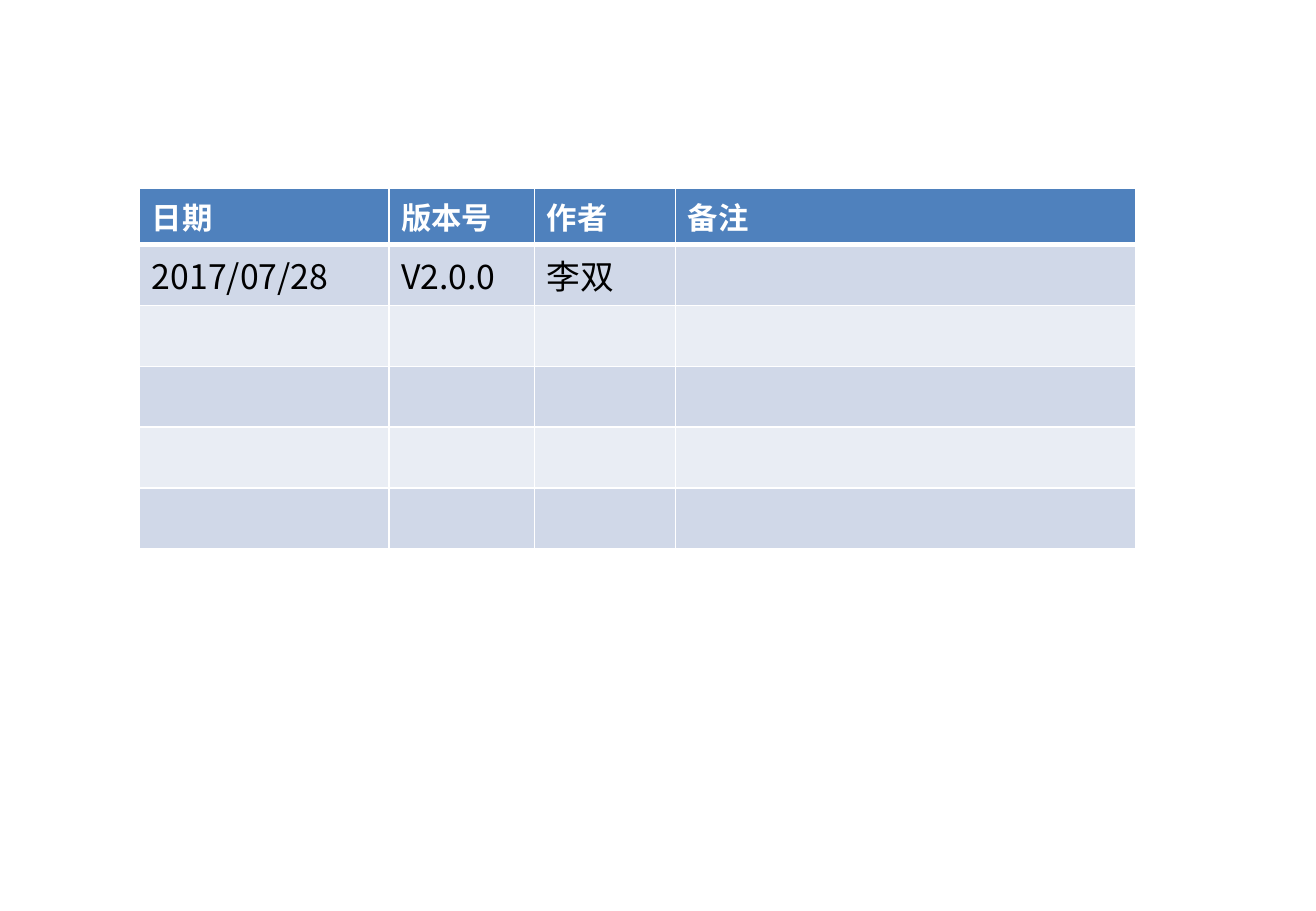
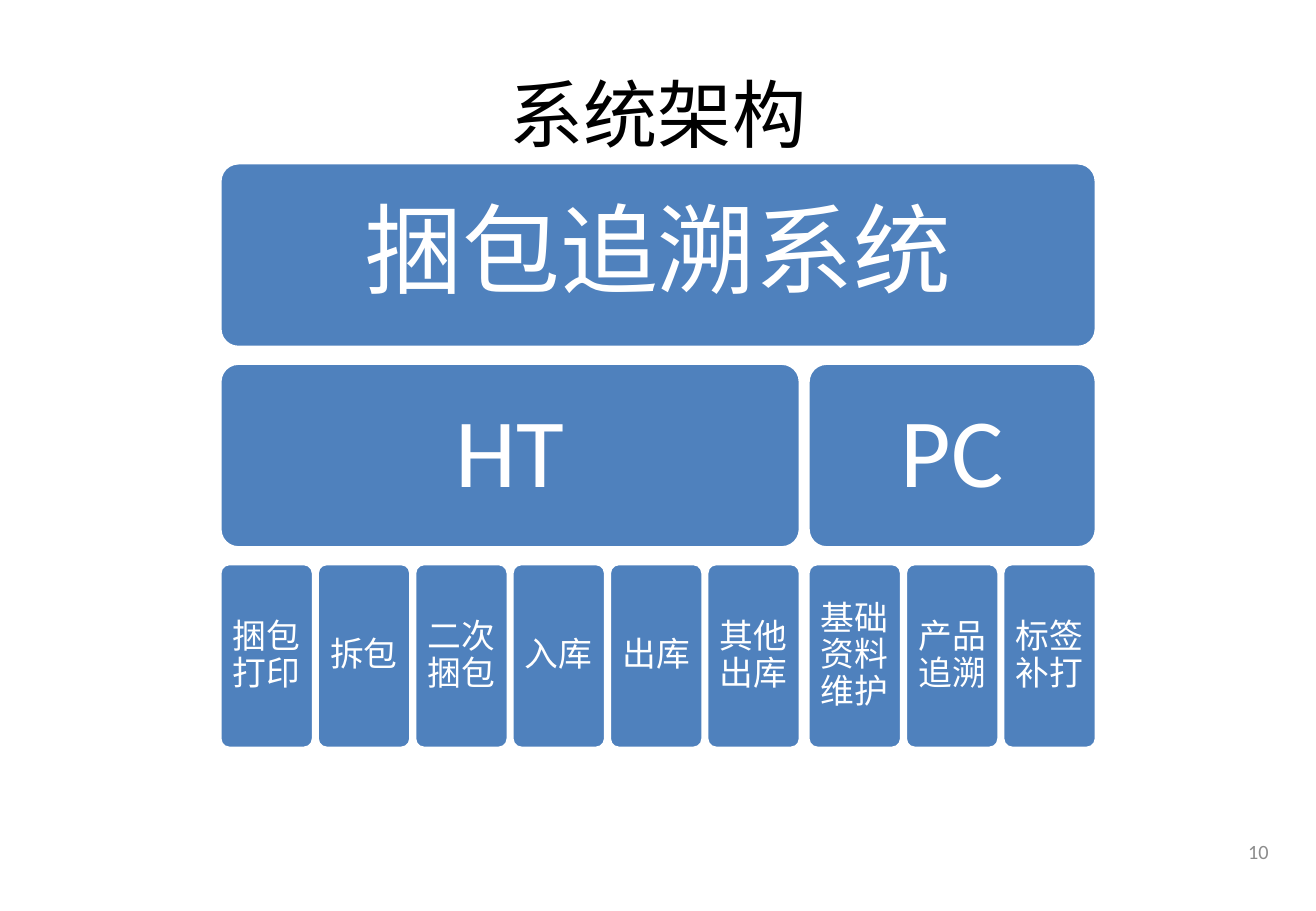
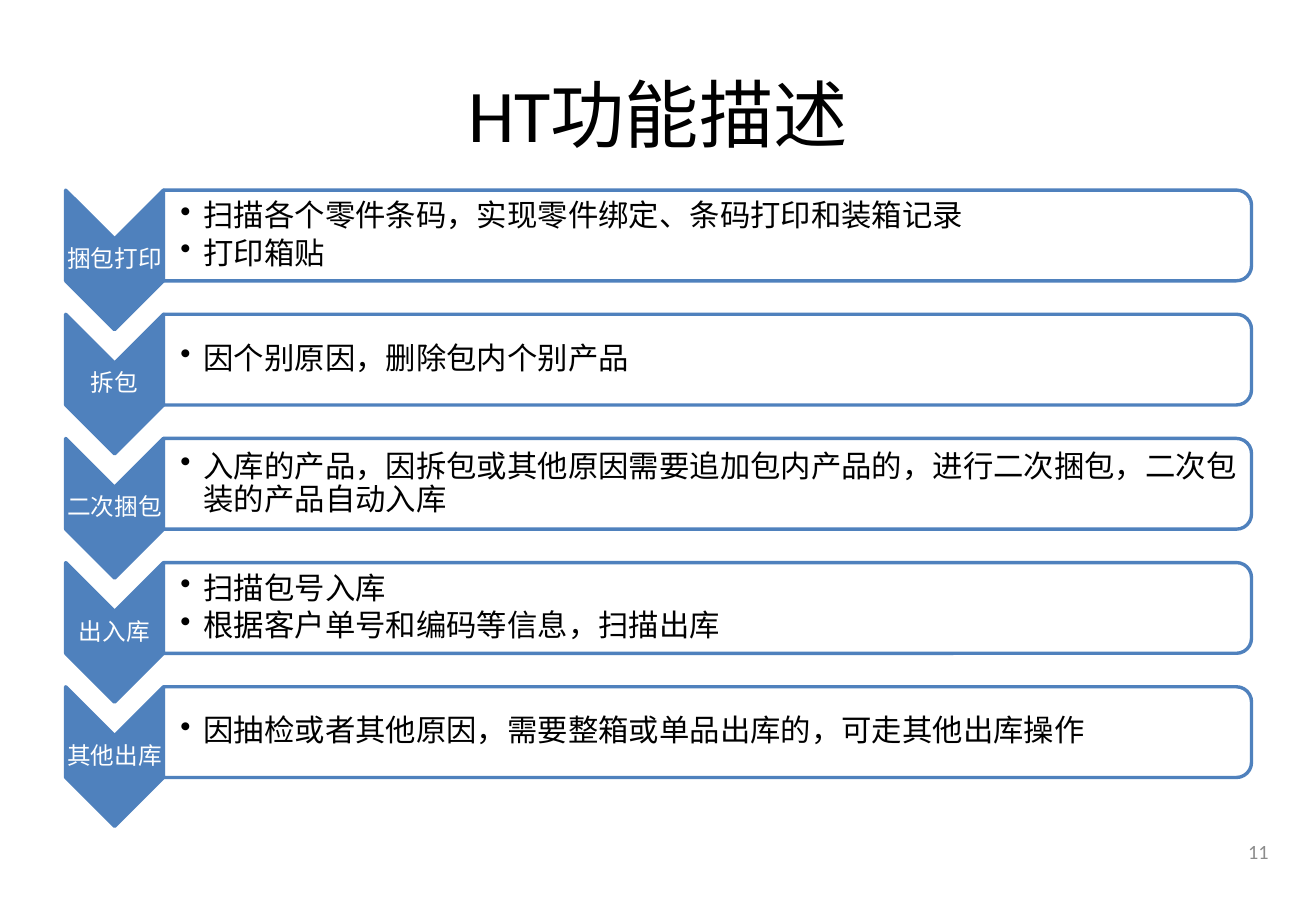
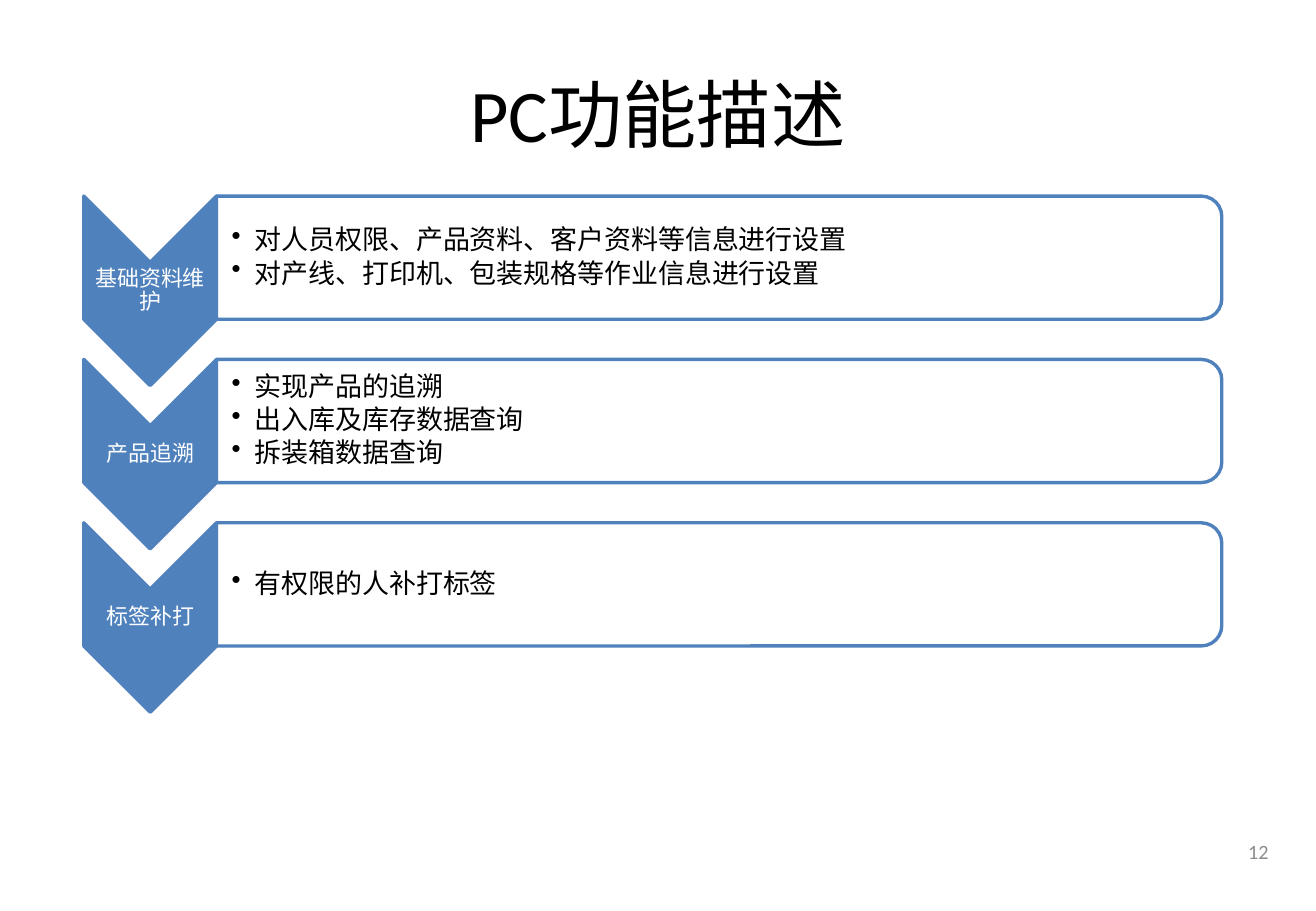
"""Build the four slides on the tracing system."""
from dataclasses import dataclass

from lxml.etree import SubElement
from pptx import Presentation
from pptx.dml.color import RGBColor
from pptx.enum.lang import MSO_LANGUAGE_ID
from pptx.enum.shapes import MSO_SHAPE
from pptx.enum.text import MSO_ANCHOR, PP_ALIGN
from pptx.oxml.ns import qn
from pptx.util import Inches, Pt


@dataclass(frozen=True)
class Theme:
    """Colours, fonts and type sizes in points."""
    accent: str = "4F81BD"
    band_dark: str = "D0D8E8"
    band_light: str = "E9EDF4"
    white: str = "FFFFFF"
    ink: str = "000000"
    muted: str = "8C8C8C"
    latin: str = "Calibri"
    asian: str = "Noto Sans CJK SC"
    title: int = 44
    block: int = 58
    leaf: int = 20
    table_head: int = 18
    table_body: int = 20
    footer: int = 12
    outline: int = 2


THEME = Theme()
WIDTH, HEIGHT = Inches(10.83), Inches(7.5)

HISTORY_HEAD = ["日期", "版本号", "作者", "备注"]
HISTORY = [["2017/07/28", "V2.0.0", "李双", ""]] + [[""] * 4] * 4
MODULES = [
    ("HT", ["捆包打印", "拆包", "二次捆包", "入库", "出库", "其他出库"]),
    ("PC", ["基础资料维护", "产品追溯", "标签补打"]),
]
HT_STEPS = [
    ("捆包打印", ["扫描各个零件条码，实现零件绑定、条码打印和装箱记录", "打印箱贴"]),
    ("拆包", ["因个别原因，删除包内个别产品"]),
    ("二次捆包", ["入库的产品，因拆包或其他原因需要追加包内产品的，进行二次捆包，二次包装的产品自动入库"]),
    ("出入库", ["扫描包号入库", "根据客户单号和编码等信息，扫描出库"]),
    ("其他出库", ["因抽检或者其他原因，需要整箱或单品出库的，可走其他出库操作"]),
]
PC_STEPS = [
    ("基础资料维护", ["对人员权限、产品资料、客户资料等信息进行设置", "对产线、打印机、包装规格等作业信息进行设置"]),
    ("产品追溯", ["实现产品的追溯", "出入库及库存数据查询", "拆装箱数据查询"]),
    ("标签补打", ["有权限的人补打标签"]),
]


def across(percent):
    """Return a percentage of the slide width."""
    return round(WIDTH * percent / 100)


def down(percent):
    """Return a percentage of the slide height."""
    return round(HEIGHT * percent / 100)


def add_run(paragraph, text, size, color, bold=False, latin=THEME.latin):
    """Add one styled run to a paragraph."""
    run = paragraph.add_run()
    run.text = text
    font = run.font
    font.size, font.bold, font.name = Pt(size), bold, latin
    font.color.rgb = RGBColor.from_string(color)
    font.language_id = MSO_LANGUAGE_ID.SIMPLIFIED_CHINESE
    SubElement(font._element, qn("a:ea"), typeface=THEME.asian)


def add_bullet(paragraph):
    """Give a paragraph a hanging round bullet."""
    properties = paragraph._p.get_or_add_pPr()
    indent = Inches(0.19)
    properties.set("marL", str(indent))
    properties.set("indent", str(-indent))
    SubElement(properties, qn("a:buChar"), char="•")


def write(frame, lines, size, color, align=PP_ALIGN.CENTER, anchor=MSO_ANCHOR.MIDDLE,
          insets=None, spacing=None, after=0, bulleted=False):
    """Fill a text frame, one paragraph for each line."""
    frame.word_wrap = True
    frame.vertical_anchor = anchor
    if insets:
        (frame.margin_left, frame.margin_top,
         frame.margin_right, frame.margin_bottom) = insets
    for index, line in enumerate(lines):
        paragraph = frame.add_paragraph() if index else frame.paragraphs[0]
        paragraph.alignment = align
        if spacing:
            paragraph.line_spacing = spacing
            paragraph.space_after = Pt(size * after)
        if bulleted:
            add_bullet(paragraph)
        add_run(paragraph, line, size, color)


def add_text(slide, box, lines, size, color, **style):
    """Add a text box."""
    write(slide.shapes.add_textbox(*box).text_frame, lines, size, color, **style)


def add_figure(slide, kind, box, fill, line):
    """Add a flat outlined preset shape."""
    figure = slide.shapes.add_shape(kind, *box)
    figure.shadow.inherit = False
    figure.fill.solid()
    figure.fill.fore_color.rgb = RGBColor.from_string(fill)
    figure.line.color.rgb = RGBColor.from_string(line)
    figure.line.width = Pt(THEME.outline)
    return figure


def add_turned(slide, kind, box, fill):
    """Add a shape turned clockwise by a quarter so that it covers the box."""
    left, top, width, height = box
    shift = (width - height) // 2
    figure = add_figure(slide, kind, (left + shift, top - shift, height, width),
                        fill, THEME.accent)
    figure.rotation = 90
    return figure


def add_heading(slide, title, number):
    """Add the title and the page number."""
    add_text(slide, (across(5), down(4), across(90), down(16.67)),
             [title], THEME.title, THEME.ink)
    add_text(slide, (across(73), down(90.67), across(23.4), down(4.13)),
             [number], THEME.footer, THEME.muted, align=PP_ALIGN.RIGHT,
             anchor=MSO_ANCHOR.BOTTOM, insets=(0, 0, 0, 0))


def add_block(slide, box, label, size):
    """Add a rounded block with a centred label."""
    block = add_figure(slide, MSO_SHAPE.ROUNDED_RECTANGLE, box, THEME.accent, THEME.white)
    block.adjustments[0] = 0.1
    write(block.text_frame, [label], size, THEME.white,
          insets=[Pt(size * 0.3)] * 4, spacing=0.9, after=0.35)


def add_architecture(slide, system, modules):
    """Add a system block above its modules and their functions."""
    left, leaf, gap = across(16.71), across(7.11), across(0.29)
    height = down(20.27)
    system_top, module_top, leaf_top = (down(17.87 + 22 * level) for level in range(3))
    module_left = left
    for module, functions in modules:
        count = len(functions)
        module_width = count * leaf + (count - 1) * gap
        add_block(slide, (module_left, module_top, module_width, height),
                  module, THEME.block)
        for column, function in enumerate(functions):
            add_block(slide, (module_left + column * (leaf + gap), leaf_top, leaf, height),
                      function, THEME.leaf)
        module_left += module_width + 2 * gap
    add_block(slide, (left, system_top, module_left - 2 * gap - left, height),
              system, THEME.block)


def add_step(slide, left, top, right, height, label, details, label_size, detail_size):
    """Add a downward chevron and the panel of details beside it."""
    chevron_width = round(height * 0.7)
    panel_left, panel_height = left + chevron_width, round(height * 0.65)
    panel_width, pad = right - panel_left, round(panel_height * 0.05)
    thin = Inches(0.01)
    add_turned(slide, MSO_SHAPE.CHEVRON, (left, top, chevron_width, height), THEME.accent)
    add_text(slide, (left, top + chevron_width // 2, chevron_width, height - chevron_width),
             [label], label_size, THEME.white, insets=[thin] * 4, spacing=0.9, after=0.35)
    panel = add_turned(slide, MSO_SHAPE.ROUND_2_SAME_RECTANGLE,
                       (panel_left, top, panel_width, panel_height), THEME.white)
    panel_color = panel._element.spPr.find(qn("a:solidFill"))[0]
    SubElement(panel_color, qn("a:alpha"), val="90000")
    add_text(slide, (panel_left, top + pad, panel_width - pad, panel_height - 2 * pad),
             details, detail_size, THEME.ink, align=PP_ALIGN.LEFT,
             insets=(Pt(detail_size * 0.56), thin, thin, thin),
             spacing=0.9, after=0.15, bulleted=True)


def add_steps(slide, steps, left, top, right, height, pitch, label_size, detail_size):
    """Stack steps at an even pitch, with lengths in percent of the slide."""
    for row, (label, details) in enumerate(steps):
        add_step(slide, across(left), down(top + row * pitch), across(right),
                 down(height), label, details, label_size, detail_size)


def add_borders(cell, top, bottom):
    """Draw white borders round a cell, with widths in points."""
    properties = cell._tc.get_or_add_tcPr()
    for side, width in (("L", 1), ("R", 1), ("T", top), ("B", bottom)):
        border = SubElement(properties, qn(f"a:ln{side}"), w=str(Pt(width)))
        fill = SubElement(border, qn("a:solidFill"))
        SubElement(fill, qn("a:srgbClr"), val=THEME.white)


def add_history(slide, head, entries):
    """Add the banded table of versions."""
    columns = [across(share) for share in (18.93, 11.08, 10.71, 35)]
    rows = [down(6)] + [down(6.67)] * len(entries)
    table = slide.shapes.add_table(len(rows), len(columns), across(10.62), down(20.67),
                                   sum(columns), sum(rows)).table
    for column, width in zip(table.columns, columns):
        column.width = width
    for index, (row, height, texts) in enumerate(zip(table.rows, rows, [head] + entries)):
        row.height = height
        is_head = index == 0
        band = THEME.band_dark if index % 2 else THEME.band_light
        for cell, text in zip(row.cells, texts):
            add_borders(cell, 3 if index == 1 else 1, 3 if is_head else 1)
            cell.fill.solid()
            cell.fill.fore_color.rgb = RGBColor.from_string(THEME.accent if is_head else band)
            paragraph = cell.text_frame.paragraphs[0]
            if is_head:
                add_run(paragraph, text, THEME.table_head, THEME.white, bold=True)
            elif text:
                add_run(paragraph, text, THEME.table_body, THEME.ink, latin=THEME.asian)


def main():
    """Build and save the slides."""
    deck = Presentation()
    deck.slide_width, deck.slide_height = WIDTH, HEIGHT
    blank = deck.slide_layouts[6]
    history, architecture, handheld, desktop = (
        deck.slides.add_slide(blank) for _ in range(4))

    add_history(history, HISTORY_HEAD, HISTORY)

    add_heading(architecture, "系统架构", "10")
    add_architecture(architecture, "捆包追溯系统", MODULES)

    add_heading(handheld, "HT功能描述", "11")
    add_steps(handheld, HT_STEPS, left=4.99, top=20.87, right=95.1, height=15.33,
              pitch=13.63, label_size=14, detail_size=18)

    add_heading(desktop, "PC功能描述", "12")
    add_steps(desktop, PC_STEPS, left=6.37, top=21.53, right=92.84, height=20.8,
              pitch=17.93, label_size=13, detail_size=16)

    deck.save("out.pptx")


main()
